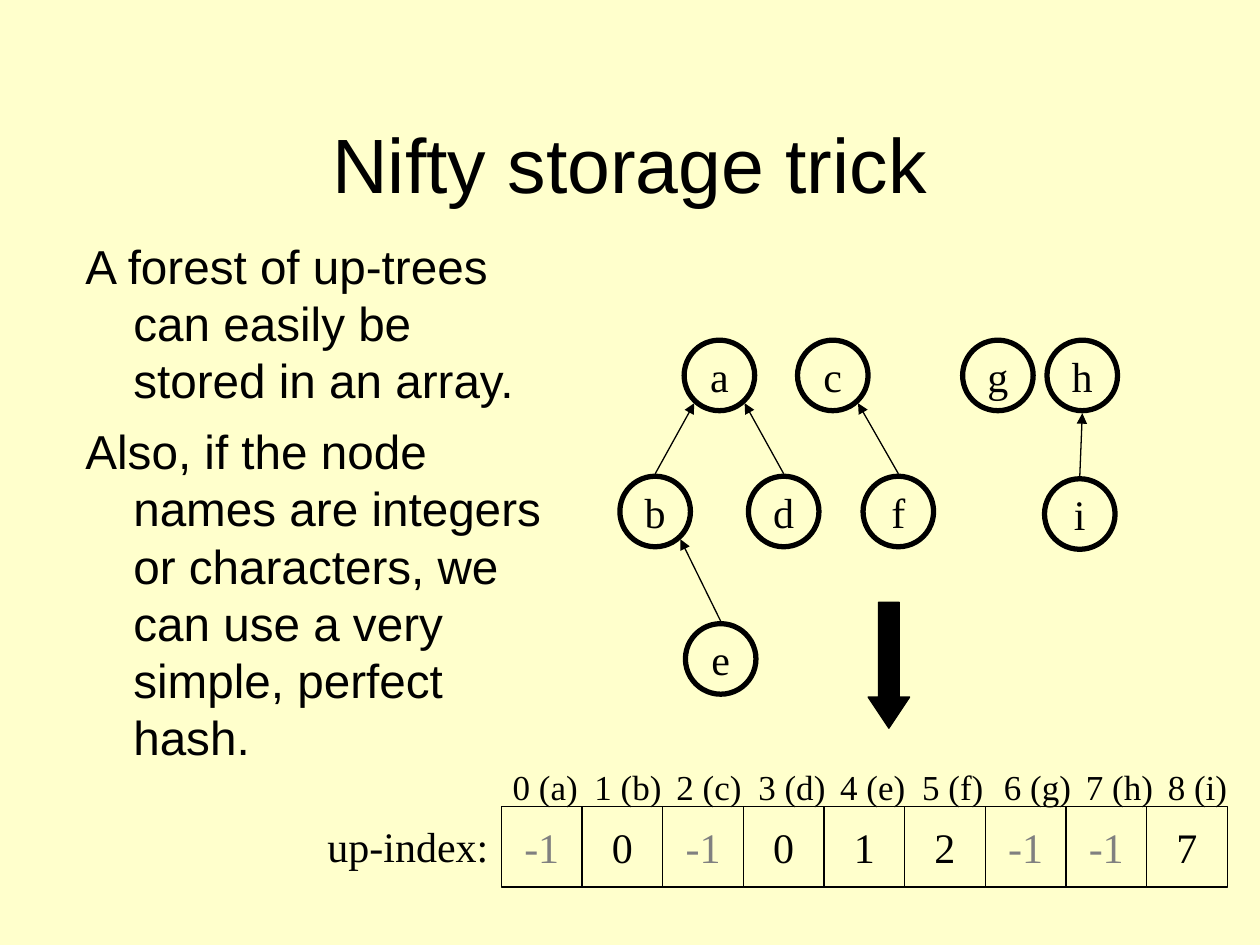
import pptx
import pptx.dml.color
import pptx.enum.shapes
import pptx.enum.text
import pptx.oxml.ns
import pptx.util
from lxml import etree

SCALE = 9144
COLORS = {"paper": "FFFFCC", "ink": "000000", "faded": "808080"}
SERIF = {"name": "Times New Roman", "size": 24}
SANS = {"name": "Arial"}
ALIGN = pptx.enum.text.PP_ALIGN
ANCHOR = pptx.enum.text.MSO_ANCHOR
SHAPE = pptx.enum.shapes.MSO_SHAPE

NODE_SIZE = 56
NODES = {
    "a": (51, 0), "c": (141, 0), "g": (272, 0), "h": (339, 0),
    "b": (0, 108), "d": (102, 108), "f": (193, 108), "i": (337, 110),
    "e": (52, 225),
}
PARENTS = {"b": "a", "d": "a", "f": "c", "i": "h", "e": "b"}
UP_INDEX = [-1, 0, -1, 0, 1, 2, -1, -1, 7]


def px(value):
    return pptx.util.Emu(value * SCALE)


def rgb(name):
    return pptx.dml.color.RGBColor.from_string(COLORS[name])


def assign(target, values):
    for name, value in values.items():
        setattr(target, name, value)


def write(frame, lines, font, color="ink", frame_format=None, para_format=None):
    assign(frame, frame_format or {})
    for number, line in enumerate(lines):
        para = frame.add_paragraph() if number else frame.paragraphs[0]
        assign(para, para_format or {})
        span = para.add_run()
        span.text = line
        assign(span.font, {**font, "size": pptx.util.Pt(font["size"])})
        span.font.color.rgb = rgb(color)


def add_text(page, box, lines, font, wrap=False, para_format=None):
    area = page.shapes.add_textbox(*map(px, box))
    write(area.text_frame, lines, font, frame_format={"word_wrap": wrap}, para_format=para_format)
    return area


def add_outlined(page, kind, box, width, label=None, color="ink"):
    shape = page.shapes.add_shape(kind, *map(px, box))
    shape.shadow.inherit = False
    shape.fill.background()
    shape.line.color.rgb = rgb("ink")
    shape.line.width = pptx.util.Pt(width)
    if label is not None:
        write(shape.text_frame, [label], SERIF, color,
              {"word_wrap": False, "vertical_anchor": ANCHOR.MIDDLE},
              {"alignment": ALIGN.CENTER})
    return shape


def add_pointer(page, start, end):
    pointer = page.shapes.add_connector(
        pptx.enum.shapes.MSO_CONNECTOR.STRAIGHT, *map(px, start + end))
    pointer.line.color.rgb = rgb("ink")
    pointer.line.width = pptx.util.Pt(0.75)
    qname = pptx.oxml.ns.qn
    etree.SubElement(pointer.line._get_or_add_ln(), qname("a:tailEnd"), type="triangle")
    etree.SubElement(pointer._element.spPr, qname("a:effectLst"))


def place_title(page, box):
    title = page.shapes.title
    assign(title, dict(zip(("left", "top", "width", "height"), map(px, box))))
    write(title.text_frame, ["Nifty storage trick"], {**SANS, "size": 44},
          frame_format={"vertical_anchor": ANCHOR.MIDDLE},
          para_format={"alignment": ALIGN.CENTER})


def place_body(page, box):
    body = add_text(page, box, [
        "A forest of up-trees can easily be stored in an array.",
        "Also, if the node names are integers or characters, "
        "we can use a very simple, perfect hash.",
    ], {**SANS, "size": 27.2}, wrap=True,
        para_format={"line_spacing": 1.0, "space_before": pptx.util.Pt(8)})
    for para in body.text_frame.paragraphs:
        properties = para._p.get_or_add_pPr()
        properties.set("marL", str(px(38)))
        properties.set("indent", str(px(-38)))


def place_forest(page, left, top):
    for name, (x, y) in NODES.items():
        add_outlined(page, SHAPE.OVAL, (left + x, top + y, NODE_SIZE, NODE_SIZE), 3, name)
    for child, parent in PARENTS.items():
        child_x, child_y = NODES[child]
        parent_x, parent_y = NODES[parent]
        shift = child_x - parent_x
        if abs(shift) < NODE_SIZE // 2:
            reach_x, reach_y = NODE_SIZE // 2, NODE_SIZE + 2
        else:
            reach_x, reach_y = (8 if shift < 0 else 48), 50
        start = (left + child_x + NODE_SIZE // 2, top + child_y - 2)
        add_pointer(page, start, (left + parent_x + reach_x, top + parent_y + reach_y))


def place_down_arrow(page, box):
    arrow = add_outlined(page, SHAPE.DOWN_ARROW, box, 0.75)
    arrow.fill.solid()
    arrow.fill.fore_color.rgb = rgb("ink")
    arrow.adjustments[0] = 0.5
    arrow.adjustments[1] = 0.75


def place_array(page, left, top, cell):
    for index, value in enumerate(UP_INDEX):
        add_outlined(page, SHAPE.RECTANGLE, (left + index * cell, top, cell, cell),
                     0.75, str(value), "faded" if value < 0 else "ink")
    labels = [f"{index} ({name})" for index, name in enumerate(sorted(NODES))]
    heading = add_text(page, (left - 1, top - 37, 600, 44), ["\t".join(labels)],
                       {**SERIF, "size": 20}, wrap=True)
    properties = heading.text_frame.paragraphs[0]._p.get_or_add_pPr()
    qname = pptx.oxml.ns.qn
    stops = etree.SubElement(properties, qname("a:tabLst"))
    for index in range(1, len(labels)):
        etree.SubElement(stops, qname("a:tab"), pos=str(px(index * (cell + 1))), algn="l")
    add_text(page, (left - 148, top + 6, 148, 50), ["up-index:"], SERIF)


def main():
    deck = pptx.Presentation()
    assign(deck, {"slide_width": px(1000), "slide_height": px(750)})
    page = deck.slides.add_slide(deck.slide_layouts[5])
    page.background.fill.solid()
    page.background.fill.fore_color.rgb = rgb("paper")
    place_title(page, (75, 67, 850, 125))
    place_body(page, (58, 183, 383, 450))
    place_forest(page, 492, 270)
    place_down_arrow(page, (689, 478, 33, 100))
    place_array(page, 398, 640, 64)
    deck.save("out.pptx")


if __name__ == "__main__":
    main()
